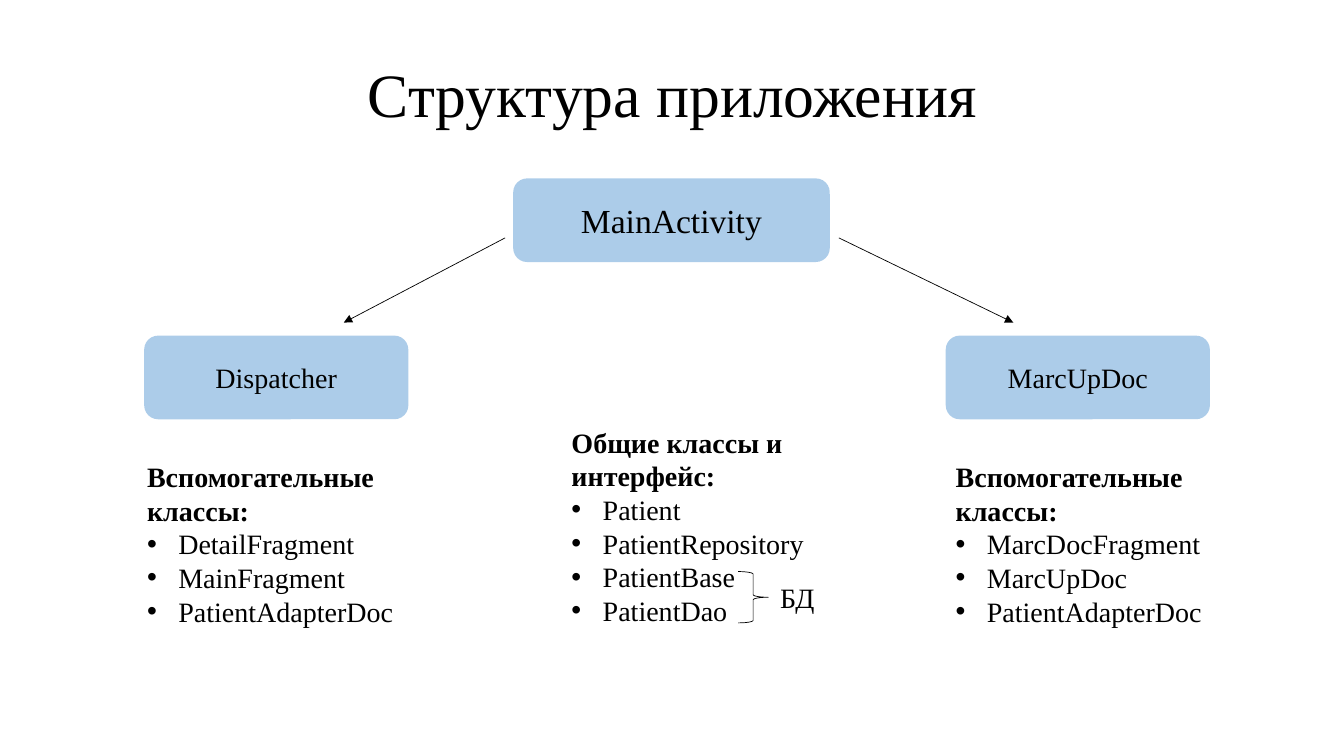
from dataclasses import dataclass

from lxml.etree import SubElement
from pptx import Presentation
from pptx.dml.color import RGBColor
from pptx.enum.shapes import MSO_CONNECTOR, MSO_SHAPE
from pptx.enum.text import MSO_ANCHOR, MSO_AUTO_SIZE, PP_ALIGN
from pptx.oxml.ns import qn
from pptx.util import Inches, Pt

ROUND = MSO_SHAPE.ROUNDED_RECTANGLE
BRACE = MSO_SHAPE.RIGHT_BRACE
STRAIGHT = MSO_CONNECTOR.STRAIGHT
MIDDLE = MSO_ANCHOR.MIDDLE
CENTER = PP_ALIGN.CENTER
GROW = MSO_AUTO_SIZE.SHAPE_TO_FIT_TEXT


@dataclass(frozen=True)
class Theme:
    font: str = "Times New Roman"
    ink: RGBColor = RGBColor(0, 0, 0)
    blue: RGBColor = RGBColor(0x5B, 0x9B, 0xD5)
    alpha: int = 50
    title: int = 44
    main: int = 24
    body: int = 20
    line: float = 0.5
    indent: float = 0.31


class Board:
    def __init__(self, slide, theme):
        self.shapes = slide.shapes
        self.theme = theme

    def style(self, para, size, bold=False):
        for run in para.runs:
            run.font.name = self.theme.font
            run.font.size = Pt(size)
            run.font.bold = bold
            run.font.color.rgb = self.theme.ink

    def stroke(self, line):
        line.color.rgb = self.theme.ink
        line.width = Pt(self.theme.line)

    def bullet(self, para):
        props = para._p.get_or_add_pPr()
        gap = Inches(self.theme.indent)
        props.set("marL", str(gap))
        props.set("indent", str(-gap))
        SubElement(props, qn("a:buFont")).set("typeface", "Arial")
        SubElement(props, qn("a:buChar")).set("char", "•")

    def text(self, area, words, size):
        box = self.shapes.add_textbox(*map(Inches, area))
        frame = box.text_frame
        frame.word_wrap = True
        frame.text = words
        self.style(frame.paragraphs[0], size)
        return frame

    def title(self, area, words):
        frame = self.text(area, words, self.theme.title)
        frame.vertical_anchor = MIDDLE
        para = frame.paragraphs[0]
        para.alignment = CENTER
        para.line_spacing = 0.9

    def label(self, area, words):
        frame = self.text(area, words, self.theme.body)
        frame.auto_size = GROW
        return frame

    def listing(self, area, head, items):
        """Add a bold heading with bulleted class names under it."""
        frame = self.label(area, head)
        self.style(frame.paragraphs[0], self.theme.body, bold=True)
        for item in items:
            para = frame.add_paragraph()
            para.text = item
            self.bullet(para)
            self.style(para, self.theme.body)

    def node(self, area, words, size):
        box = self.shapes.add_shape(ROUND, *map(Inches, area))
        box.shadow.inherit = False
        box.fill.solid()
        box.fill.fore_color.rgb = self.theme.blue
        color = box.fill._xPr.find(qn("a:solidFill"))[0]
        SubElement(color, qn("a:alpha")).set("val", str(self.theme.alpha * 1000))
        box.line.fill.background()
        frame = box.text_frame
        frame.vertical_anchor = MIDDLE
        frame.text = words
        para = frame.paragraphs[0]
        para.alignment = CENTER
        self.style(para, size)

    def arrow(self, start, end):
        link = self.shapes.add_connector(STRAIGHT, *map(Inches, start + end))
        self.stroke(link.line)
        tail = SubElement(link.line._get_or_add_ln(), qn("a:tailEnd"))
        tail.set("type", "triangle")
        SubElement(link._element.spPr, qn("a:effectLst"))

    def brace(self, area):
        mark = self.shapes.add_shape(BRACE, *map(Inches, area))
        mark.shadow.inherit = False
        mark.fill.background()
        self.stroke(mark.line)


def main():
    deck = Presentation()
    deck.slide_width, deck.slide_height = Inches(13.33), Inches(7.5)
    theme = Theme()
    board = Board(deck.slides.add_slide(deck.slide_layouts[6]), theme)

    board.title((0.92, 0.4, 11.5, 1.14), "Структура приложения")
    board.node((5.09, 1.77, 3.14, 0.83), "MainActivity", theme.main)
    board.arrow((5.01, 2.36), (3.41, 3.2))
    board.arrow((8.32, 2.36), (10.05, 3.2))

    for left, name in ((1.43, "Dispatcher"), (9.38, "MarcUpDoc")):
        board.node((left, 3.33, 2.62, 0.83), name, theme.body)

    helpers = "Вспомогательные классы:"
    lists = (
        ((1.36, 4.51, 2.75, 1.78), helpers,
         ("DetailFragment", "MainFragment", "PatientAdapterDoc")),
        ((9.38, 4.51, 2.76, 1.78), helpers,
         ("MarcDocFragment", "MarcUpDoc", "PatientAdapterDoc")),
        ((5.57, 4.17, 2.63, 2.12), "Общие классы и интерфейс:",
         ("Patient", "PatientRepository", "PatientBase", "PatientDao")),
    )
    for area, head, items in lists:
        board.listing(area, head, items)

    board.brace((7.32, 5.67, 0.3, 0.51))
    board.label((7.64, 5.71, 0.6, 0.44), "БД")
    deck.save("out.pptx")


if __name__ == "__main__":
    main()
